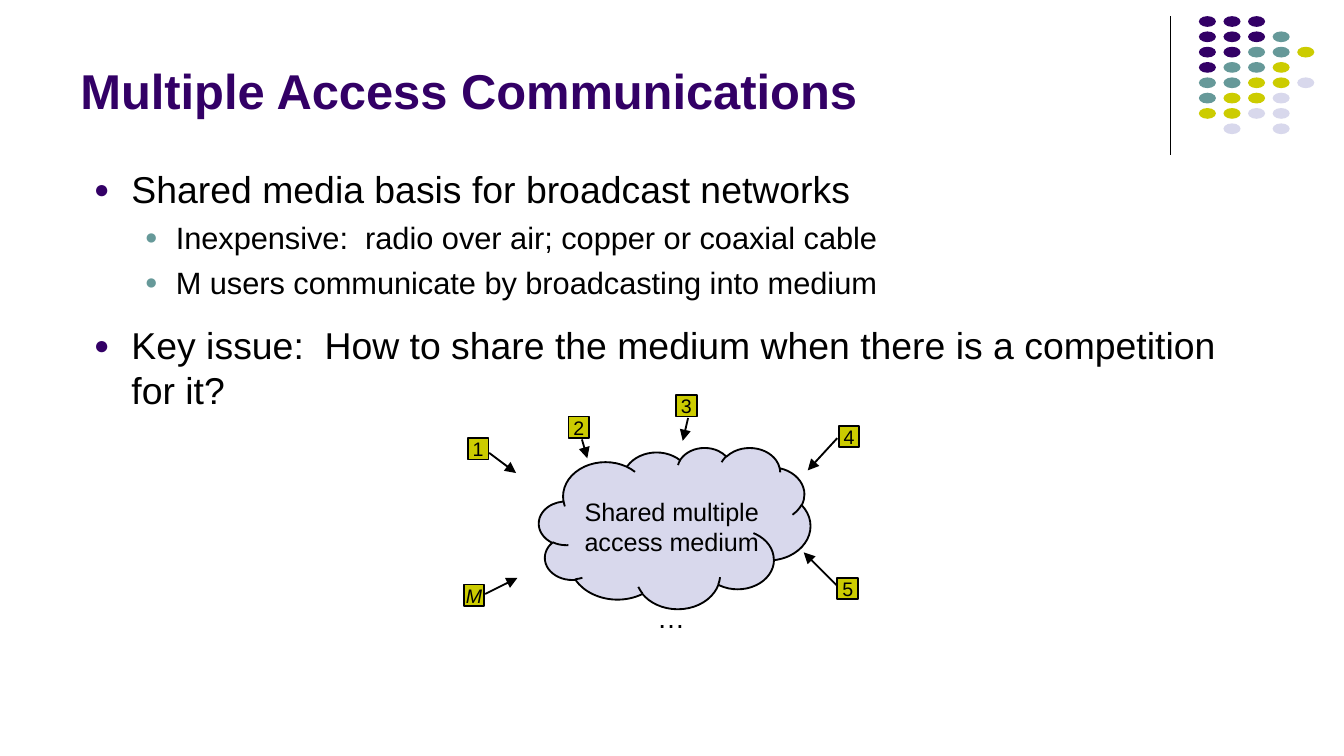
"""Build the slide on multiple access communications, on a grid of 100 columns."""
import pptx
import pptx.dml.color
import pptx.enum.shapes
import pptx.enum.text
import pptx.oxml
import pptx.oxml.ns
import pptx.util

SHAPE = pptx.enum.shapes.MSO_SHAPE
ANCHOR = pptx.enum.text.MSO_ANCHOR
ALIGN = pptx.enum.text.PP_ALIGN
WIDTH = pptx.util.Inches(10)
HEIGHT = int(WIDTH * 9 / 16)
UNIT = WIDTH / 100
INK, PLUM, TEAL, LIME, MIST = "000000", "330066", "669999", "CCCC00", "D8D8EC"
DOTS = ["PPP", "PPPT", "PPTTL", "PTTL", "TTLLM", "TLLM", "LLMM", " M M"]
HUES = {"P": PLUM, "T": TEAL, "L": LIME, "M": MIST}
POINTS = [
    ("Shared media basis for broadcast networks", 0, 0),
    ("Inexpensive:  radio over air; copper or coaxial cable", 1, 4),
    ("M users communicate by broadcasting into medium", 1, 4),
    ("Key issue:  How to share the medium when there is a competition for it?", 0, 12),
]
LEVELS = [(20, 2.8, 2.8, PLUM), (16.5, 6.1, 2.3, TEAL)]
USERS = [
    ("1", 34.8, 32.6, (36.4, 33.7, 38.4, 35.2)),
    ("2", 42.3, 31, (43.3, 32.7, 43.7, 34.1)),
    ("3", 50.3, 29.4, (51.2, 31.1, 50.8, 32.8)),
    ("4", 62.4, 31.7, (62.3, 32.6, 60.1, 35)),
    ("5", 62.3, 43, (62.3, 43.6, 59.8, 41.1)),
    ("M", 34.5, 43.5, (36.1, 44.2, 38.5, 43)),
]


def grid(*cells):
    """Turn grid columns and rows into lengths."""
    return [round(cell * UNIT) for cell in cells]


def paint(target, hue):
    """Give a colour format, fill or line its hex colour."""
    if hasattr(target, "solid"):
        target.solid()
        target = target.fore_color
    target.rgb = pptx.dml.color.RGBColor.from_string(hue)


def node(tag, **attrs):
    """Make a drawing element with the given attributes."""
    item = pptx.oxml.parse_xml(f"<a:{tag} {pptx.oxml.ns.nsdecls('a')}/>")
    for name, value in attrs.items():
        item.set(name, str(value))
    return item


def style(para, size, hue=INK, bold=False, slant=False):
    """Format the runs of a paragraph."""
    for run in para.runs:
        font = run.font
        font.name, font.size = "Arial", pptx.util.Pt(size)
        font.bold, font.italic = bold, slant
        paint(font.color, hue)


def shape(slide, kind, box, hue, edge=None):
    """Add a filled preset shape, outlined when an edge colour is given."""
    item = slide.shapes.add_shape(kind, *grid(*box))
    item.shadow.inherit = False
    paint(item.fill, hue)
    if edge:
        paint(item.line.fill, edge)
        item.line.width = pptx.util.Pt(1)
    else:
        item.line.fill.background()
    return item


def line(slide, ends, weight, arrow=False):
    """Add a straight line, with an arrowhead at its end if wanted."""
    kind = pptx.enum.shapes.MSO_CONNECTOR.STRAIGHT
    item = slide.shapes.add_connector(kind, *grid(*ends))
    paint(item.line.fill, INK)
    item.line.width = pptx.util.Pt(weight)
    if arrow:
        item.line._get_or_add_ln().append(node("tailEnd", type="triangle"))
    item._element.spPr.append(node("effectLst"))


def inset(frame, side, edge):
    """Set the side and edge margins of a text frame."""
    frame.margin_left, frame.margin_right = grid(side, side)
    frame.margin_top, frame.margin_bottom = grid(edge, edge)


def text(slide, box, words, size, hue=INK, bold=False):
    """Add a text box that does not wrap."""
    frame = slide.shapes.add_textbox(*grid(*box)).text_frame
    frame.word_wrap = False
    frame.text = words
    inset(frame, 0.7, 0.4)
    for para in frame.paragraphs:
        style(para, size, hue, bold)
    return frame


def bullet(para, indent, hang, hue):
    """Give a paragraph a hanging round bullet."""
    props = para._p.get_or_add_pPr()
    left, back = grid(indent, -hang)
    props.set("marL", str(left))
    props.set("indent", str(back))
    tint = node("buClr")
    tint.append(node("srgbClr", val=hue))
    props.extend([tint, node("buSzPct", val=70000),
                  node("buFont", typeface="Arial"), node("buChar", char="●")])


def body(slide):
    """Add the bulleted points."""
    frame = slide.shapes.add_textbox(*grid(6, 11.9, 85.9, 17.9)).text_frame
    frame.word_wrap = True
    frame.text = "\n".join(words for words, _, _ in POINTS)
    for para, (_, level, gap) in zip(frame.paragraphs, POINTS):
        size, indent, hang, hue = LEVELS[level]
        para.level = level
        para.space_before = pptx.util.Pt(gap)
        bullet(para, indent, hang, hue)
        style(para, size)


def dots(slide):
    """Add the corner pattern of coloured dots."""
    for row, marks in enumerate(DOTS):
        for col, mark in enumerate(marks):
            if mark in HUES:
                box = (89.2 + 1.83 * col, 1.2 + 1.14 * row, 1.27, 0.8)
                shape(slide, SHAPE.OVAL, box, HUES[mark])


def user(slide, name, left, top, ends):
    """Add a labelled user and its arrow to the medium."""
    item = shape(slide, SHAPE.RECTANGLE, (left, top, 1.55, 1.6), LIME, INK)
    frame = item.text_frame
    frame.text = name
    frame.word_wrap = False
    frame.vertical_anchor = ANCHOR.MIDDLE
    inset(frame, 0, 0)
    para = frame.paragraphs[0]
    para.alignment = ALIGN.CENTER
    style(para, 10.5, slant=name.isalpha())
    line(slide, ends, 1, True)


def main():
    """Build and save the slide."""
    deck = pptx.Presentation()
    deck.slide_width, deck.slide_height = WIDTH, HEIGHT
    slide = deck.slides.add_slide(deck.slide_layouts[6])
    line(slide, (87.1, 1.2, 87.1, 11.5), 0.75)
    dots(slide)
    title = text(slide, (5, 1, 82.5, 8.4), "Multiple Access Communications", 26.2, PLUM, True)
    title.word_wrap = True
    title.vertical_anchor = ANCHOR.BOTTOM
    inset(title, 1, 0.5)
    body(slide)
    shape(slide, SHAPE.CLOUD, (40.1, 33.3, 20.2, 12), MIST, INK)
    text(slide, (48.2, 44.3, 3.6, 3.3), "…", 15)
    for name, left, top, ends in USERS:
        user(slide, name, left, top, ends)
    text(slide, (42.8, 36.5, 14.6, 5.3), "Shared multiple\naccess medium", 13.5)
    deck.save("out.pptx")


if __name__ == "__main__":
    main()
